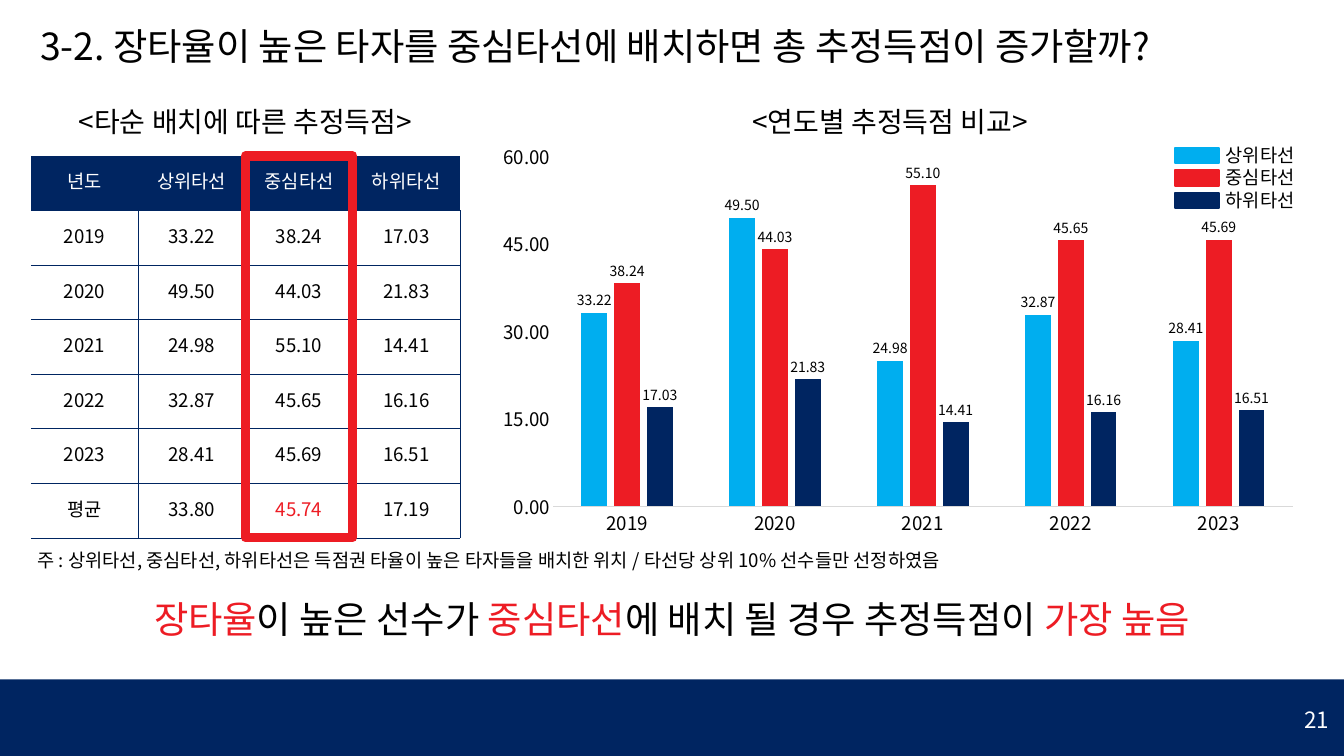
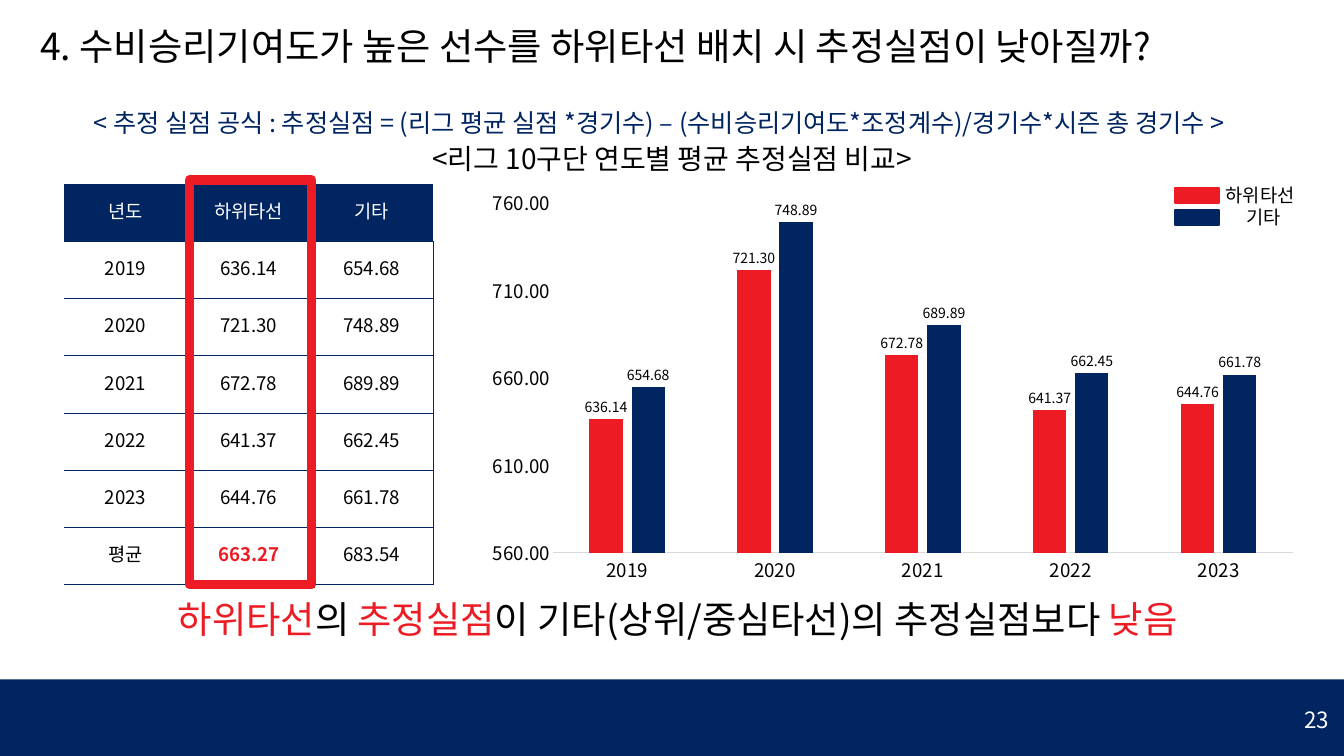
"""Builds two slides that compare estimated runs by batting-order position."""
from dataclasses import dataclass
from typing import NamedTuple

from lxml.etree import SubElement
from pptx import Presentation
from pptx.chart.data import CategoryChartData
from pptx.dml.color import RGBColor
from pptx.enum.chart import XL_CHART_TYPE as ChartType
from pptx.enum.chart import XL_LABEL_POSITION as LabelPosition
from pptx.enum.chart import XL_TICK_MARK as TickMark
from pptx.enum.shapes import MSO_SHAPE as Preset
from pptx.enum.text import MSO_ANCHOR as Anchor
from pptx.enum.text import PP_ALIGN as Align
from pptx.oxml import parse_xml
from pptx.oxml.ns import nsdecls, qn
from pptx.slide import Slide
from pptx.util import Pt


@dataclass(frozen=True)
class Theme:
    """Colours, type sizes and the typeface shared by both slides."""
    navy: str = "002561"
    red: str = "ED1C24"
    sky: str = "00AEEF"
    black: str = "000000"
    white: str = "FFFFFF"
    axis: str = "D9D9D9"
    face: str = "Noto Sans CJK KR"
    headline: int = 40
    caption: int = 30
    formula: int = 27
    page: int = 24
    body: int = 20
    value: int = 15
    leading: float = 1.2


THEME = Theme()
WIDTH, HEIGHT = 1440, 810
YEARS = ("2019", "2020", "2021", "2022", "2023")


class Box(NamedTuple):
    """Left, top, width and height in points."""
    left: float
    top: float
    width: float
    height: float

    def lengths(self) -> list[Pt]:
        """Return the four values as lengths."""
        return [Pt(value) for value in self]


class Phrase(NamedTuple):
    """A stretch of text in one colour."""
    text: str
    colour: str = THEME.black


class Caption(NamedTuple):
    """A single line of text with its place and look."""
    box: Box
    text: str
    size: int = THEME.caption
    colour: str = THEME.black
    align: Align = Align.CENTER


class Lineup(NamedTuple):
    """Yearly values and average of one part of the batting order."""
    name: str
    colour: str
    values: tuple[float, ...]
    average: float
    legend_indent: float = 0


class Scale(NamedTuple):
    """Range and step of the value axis."""
    low: float
    high: float
    step: float


@dataclass(frozen=True)
class Comparison:
    """Everything that one slide shows."""
    title: str
    page: str
    lineups: tuple[Lineup, ...]
    focus: str
    bold_focus: bool
    table: Box
    frame: Box
    chart: Box
    legend_top: float
    scale: Scale
    captions: tuple[Caption, ...]
    conclusion: tuple[Phrase, ...]
    conclusion_left: float = 0


def rgb(colour: str) -> RGBColor:
    """Turn a hex string into a colour."""
    return RGBColor.from_string(colour)


def style_font(font, size: int, colour: str) -> None:
    """Set size, colour and Latin typeface."""
    font.size, font.name = Pt(size), THEME.face
    font.color.rgb = rgb(colour)


def style_paragraph(paragraph, size: int, colour: str, align: Align) -> None:
    """Set alignment, leading and font, East Asian typeface included."""
    paragraph.alignment = align
    paragraph.line_spacing = Pt(size * THEME.leading)
    style_font(paragraph.font, size, colour)
    defaults = paragraph._p.pPr.find(qn("a:defRPr"))
    SubElement(defaults, qn("a:ea")).set("typeface", THEME.face)


def add_text(slide: Slide, box: Box, phrases: tuple[Phrase, ...], size: int,
             align: Align = Align.LEFT, anchor: Anchor = Anchor.TOP) -> None:
    """Add one line of coloured phrases."""
    frame = slide.shapes.add_textbox(*box.lengths()).text_frame
    frame.word_wrap, frame.vertical_anchor = True, anchor
    line = frame.paragraphs[0]
    style_paragraph(line, size, phrases[0].colour, align)
    for phrase in phrases:
        run = line.add_run()
        run.text = phrase.text
        if len(phrases) > 1:
            run.font.color.rgb = rgb(phrase.colour)


def add_block(slide: Slide, box: Box, fill: str = "", line: str = "", weight: float = 0) -> None:
    """Add a rectangle with an optional fill and outline."""
    block = slide.shapes.add_shape(Preset.RECTANGLE, *box.lengths())
    block.shadow.inherit = False
    if fill:
        block.fill.solid()
        block.fill.fore_color.rgb = rgb(fill)
    else:
        block.fill.background()
    if line:
        block.line.color.rgb = rgb(line)
        block.line.width = Pt(weight)
    else:
        block.line.fill.background()


def set_borders(cell, sides: str) -> None:
    """Draw navy rules on the given sides (of L, R, T, B) and none on the others."""
    properties = cell._tc.get_or_add_tcPr()
    for side in "LRTB":
        rule = SubElement(properties, qn(f"a:ln{side}"))
        if side in sides:
            rule.set("w", str(Pt(1)))
            SubElement(SubElement(rule, qn("a:solidFill")), qn("a:srgbClr")).set("val", THEME.navy)
        else:
            SubElement(rule, qn("a:noFill"))


def add_score_table(slide: Slide, content: Comparison) -> None:
    """Add the table of years by lineups, with the averages last."""
    columns = [("년도", *YEARS, "평균")]
    columns += [(lineup.name, *(f"{value:.2f}" for value in (*lineup.values, lineup.average)))
                for lineup in content.lineups]
    last = len(columns[0]) - 1
    table = slide.shapes.add_table(last + 1, len(columns), *content.table.lengths()).table
    for row in table.rows:
        row.height = Pt(content.table.height / (last + 1))
    for c, column in enumerate(columns):
        table.columns[c].width = Pt(content.table.width / len(columns))
        for r, text in enumerate(column):
            cell = table.cell(r, c)
            header = r == 0
            focus = r == last and column[0] == content.focus
            set_borders(cell, "B" if header else "LRTB" if c else "RTB")
            cell.fill.solid()
            cell.fill.fore_color.rgb = rgb(THEME.navy if header else THEME.white)
            cell.vertical_anchor = Anchor.MIDDLE
            cell.margin_left = cell.margin_right = cell.margin_top = cell.margin_bottom = Pt(0.7)
            cell.text = text
            colour = THEME.white if header else THEME.red if focus else THEME.black
            paragraph = cell.text_frame.paragraphs[0]
            style_paragraph(paragraph, THEME.body, colour, Align.CENTER)
            paragraph.font.bold = focus and content.bold_focus


def set_plot_area(chart, area: tuple[float, ...]) -> None:
    """Fix the inner plot area as fractions of the chart."""
    plot_area = chart._chartSpace.chart.plotArea
    for old in plot_area.findall(qn("c:layout")):
        plot_area.remove(old)
    places = "".join(f'<c:{key} val="{value}"/>' for key, value in zip("xywh", area))
    plot_area.insert(0, parse_xml(
        f'<c:layout {nsdecls("c")}><c:manualLayout><c:layoutTarget val="inner"/>'
        f'<c:xMode val="edge"/><c:yMode val="edge"/>{places}</c:manualLayout></c:layout>'))


def add_score_chart(slide: Slide, content: Comparison) -> None:
    """Add the clustered columns of each year."""
    data = CategoryChartData(number_format="0.00")
    data.categories = YEARS
    for lineup in content.lineups:
        data.add_series(lineup.name, lineup.values)
    chart = slide.shapes.add_chart(ChartType.COLUMN_CLUSTERED, *content.chart.lengths(), data).chart
    chart.has_legend = chart.has_title = False
    style_font(chart.font, THEME.body, THEME.black)
    set_plot_area(chart, (0.09, 0.04, 0.9, 0.88))
    for axis in (chart.category_axis, chart.value_axis):
        axis.has_major_gridlines = False
        axis.major_tick_mark = axis.minor_tick_mark = TickMark.NONE
        style_font(axis.tick_labels.font, THEME.body, THEME.black)
    chart.category_axis.format.line.color.rgb = rgb(THEME.axis)
    chart.category_axis.format.line.width = Pt(0.75)
    scores = chart.value_axis
    scores.format.line.fill.background()
    scores.minimum_scale, scores.maximum_scale, scores.major_unit = content.scale
    scores.tick_labels.number_format = "0.00"
    scores.tick_labels.number_format_is_linked = False
    plot = chart.plots[0]
    plot.vary_by_categories, plot.gap_width, plot.overlap = False, 219, -27
    for lineup, series in zip(content.lineups, plot.series):
        series.format.fill.solid()
        series.format.fill.fore_color.rgb = rgb(lineup.colour)
        labels = series.data_labels
        labels.show_value, labels.position = True, LabelPosition.OUTSIDE_END
        labels.number_format, labels.number_format_is_linked = "0.00", False
        style_font(labels.font, THEME.value, THEME.black)


def add_legend(slide: Slide, lineups: tuple[Lineup, ...], top: float) -> None:
    """Add the lineup names with a colour swatch beside each."""
    step = THEME.body * THEME.leading
    box = Box(1248.5, top, 145.5, 7.2 + step * len(lineups))
    frame = slide.shapes.add_textbox(*box.lengths()).text_frame
    frame.word_wrap = True
    for i, lineup in enumerate(lineups):
        entry = frame.add_paragraph() if i else frame.paragraphs[0]
        entry.text = lineup.name
        style_paragraph(entry, THEME.body, THEME.black,
                        Align.CENTER if lineup.legend_indent else Align.RIGHT)
        entry._p.pPr.set("marL", str(Pt(lineup.legend_indent)))
        swatch = Box(1258.5, top + 8 + i * step, 48, 16.5)
        add_block(slide, swatch, lineup.colour, lineup.colour, 2)


def add_comparison(deck, content: Comparison) -> None:
    """Add one complete slide."""
    slide = deck.slides.add_slide(deck.slide_layouts[6])
    add_score_table(slide, content)
    add_score_chart(slide, content)
    add_legend(slide, content.lineups, content.legend_top)
    add_block(slide, content.frame, line=THEME.red, weight=10)
    add_block(slide, Box(0, 728, WIDTH, HEIGHT - 728), THEME.navy)
    add_text(slide, Box(36, 21.6, 1333.5, 55.5), (Phrase(content.title),), THEME.headline)
    for caption in content.captions:
        add_text(slide, caption.box, (Phrase(caption.text, caption.colour),), caption.size, caption.align)
    left = content.conclusion_left
    add_text(slide, Box(left, 635, WIDTH - left, 55.5), content.conclusion, THEME.headline, Align.CENTER)
    add_text(slide, Box(1265.8, 740, 165.6, 61.2), (Phrase(content.page, THEME.white),),
             THEME.page, Align.RIGHT, Anchor.MIDDLE)


SLUGGING = Comparison(
    "3-2. 장타율이 높은 타자를 중심타선에 배치하면 총 추정득점이 증가할까?", "21",
    (Lineup("상위타선", THEME.sky, (33.22, 49.5, 24.98, 32.87, 28.41), 33.8),
     Lineup("중심타선", THEME.red, (38.24, 44.03, 55.1, 45.65, 45.69), 45.74),
     Lineup("하위타선", THEME.navy, (17.03, 21.83, 14.41, 16.16, 16.51), 17.19)),
    "중심타선", False, Box(33, 167, 460, 409.5), Box(263, 167, 115, 409),
    Box(513.4, 150.5, 880.5, 426.2), 150.5, Scale(0, 60, 15),
    (Caption(Box(63.4, 108, 399, 44), "<타순 배치에 따른 추정득점>"),
     Caption(Box(649.5, 108, 608.4, 44), "<연도별 추정득점 비교>"),
     Caption(Box(33, 584.6, 1361.5, 31.7),
             "주 : 상위타선, 중심타선, 하위타선은 득점권 타율이 높은 타자들을 배치한 위치 / 타선당 상위 10% 선수들만 선정하였음",
             THEME.body, align=Align.LEFT)),
    (Phrase("장타율", THEME.red), Phrase("이 높은 선수가 "), Phrase("중심타선", THEME.red),
     Phrase("에 배치 될 경우 추정득점이 "), Phrase("가장 높음", THEME.red)))

FIELDING = Comparison(
    "4. 수비승리기여도가 높은 선수를 하위타선 배치 시 추정실점이 낮아질까?", "23",
    (Lineup("하위타선", THEME.red, (636.14, 721.3, 672.78, 641.37, 644.76), 663.27),
     Lineup("기타", THEME.navy, (654.68, 748.89, 689.89, 662.45, 661.78), 683.54, 66)),
    "하위타선", True, Box(68.4, 197.3, 396, 429), Box(203, 193, 131, 433.4),
    Box(513.4, 200.2, 880.5, 426.2), 193, Scale(560, 760, 50),
    (Caption(Box(416, 148.3, 608.4, 44), "<리그 10구단 연도별 평균 추정실점 비교>"),
     Caption(Box(25.2, 111.6, 1361.5, 40.3),
             "< 추정 실점 공식 : 추정실점 = (리그 평균 실점 *경기수) – (수비승리기여도*조정계수)/경기수*시즌 총 경기수 >",
             THEME.formula, THEME.navy)),
    (Phrase("하위타선", THEME.red), Phrase("의"), Phrase(" 추정실점", THEME.red),
     Phrase("이 기타(상위/중심타선)의 추정실점보다 "), Phrase("낮음", THEME.red)), 12)


def main() -> None:
    """Build and save the deck."""
    deck = Presentation()
    deck.slide_width, deck.slide_height = Pt(WIDTH), Pt(HEIGHT)
    for content in (SLUGGING, FIELDING):
        add_comparison(deck, content)
    deck.save("out.pptx")


if __name__ == "__main__":
    main()
